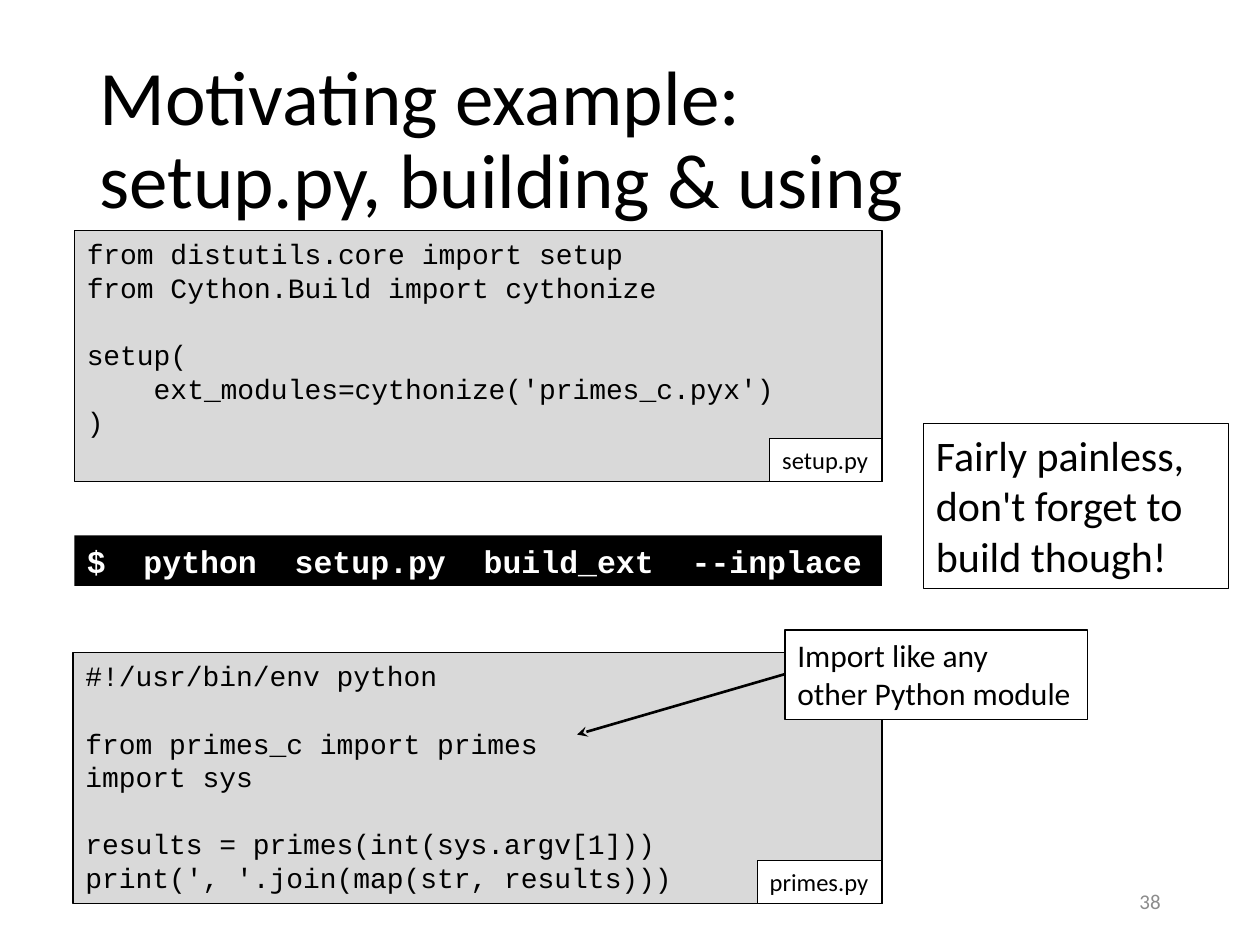
"""Build the slide on setting up, building and using a Cython module."""
from lxml import etree
from pptx import Presentation
from pptx.dml.color import RGBColor
from pptx.enum.shapes import MSO_CONNECTOR, MSO_SHAPE
from pptx.enum.text import MSO_ANCHOR, PP_ALIGN
from pptx.oxml.ns import qn
from pptx.util import Inches, Pt

RECTANGLE = MSO_SHAPE.RECTANGLE
STRAIGHT = MSO_CONNECTOR.STRAIGHT
TOP, MIDDLE = MSO_ANCHOR.TOP, MSO_ANCHOR.MIDDLE
LEFT, RIGHT = PP_ALIGN.LEFT, PP_ALIGN.RIGHT

BLACK = RGBColor(0x00, 0x00, 0x00)
WHITE = RGBColor(0xFF, 0xFF, 0xFF)
CODE_GRAY = RGBColor(0xD9, 0xD9, 0xD9)
NUMBER_GRAY = RGBColor(0x8C, 0x8C, 0x8C)
BODY_FONT, CODE_FONT = "Calibri", "Courier New"

TITLE = "Motivating example:\vsetup.py, building & using"
SLIDE_NUMBER = "38"
SETUP_CODE = """from distutils.core import setup
from Cython.Build import cythonize

setup(
    ext_modules=cythonize('primes_c.pyx')
)"""
PRIMES_CODE = """#!/usr/bin/env python

from primes_c import primes
import sys

results = primes(int(sys.argv[1]))
print(', '.join(map(str, results)))"""
LISTINGS = [
    ("setup.py", SETUP_CODE, 0.59, 1.83, 0.89),
    ("primes.py", PRIMES_CODE, 0.58, 5.18, 0.99),
]
COMMAND = "$  python  setup.py  build_ext  --inplace"
REMARK = "Fairly painless,\vdon't forget to\vbuild though!"
IMPORT_NOTE = "Import like any\vother Python module"

CODE_RIGHT, CODE_HEIGHT, FILE_HEIGHT = 7.0, 1.99, 0.34


def write(shape, text, size, color=BLACK, font=BODY_FONT, bold=False,
          anchor=TOP, align=LEFT, spacing=None, wrap=True):
    frame = shape.text_frame
    frame.text = text
    frame.word_wrap = wrap
    frame.vertical_anchor = anchor
    for paragraph in frame.paragraphs:
        paragraph.alignment = align
        if spacing:
            paragraph.line_spacing = spacing
        for run in paragraph.runs:
            run.font.name = font
            run.font.size = Pt(size)
            run.font.bold = bold
            run.font.color.rgb = color
        if not paragraph.runs:
            end = etree.SubElement(paragraph._p, qn("a:endParaRPr"), sz=str(size * 100))
            etree.SubElement(end, qn("a:latin"), typeface=font)


def add_text(slide, place, text, size, **style):
    write(slide.shapes.add_textbox(*map(Inches, place)), text, size, **style)


def add_panel(slide, place, text, size, fill=WHITE, outlined=True, **style):
    panel = slide.shapes.add_shape(RECTANGLE, *map(Inches, place))
    panel.shadow.inherit = False
    panel.fill.solid()
    panel.fill.fore_color.rgb = fill
    if outlined:
        panel.line.color.rgb = BLACK
        panel.line.width = Pt(0.75)
    else:
        panel.line.fill.background()
    write(panel, text, size, **style)


def add_listing(slide, file_name, code, left, top, file_width):
    add_panel(slide, (left, top, CODE_RIGHT - left, CODE_HEIGHT), code, 16,
              fill=CODE_GRAY, font=CODE_FONT)
    file_top = top + CODE_HEIGHT - FILE_HEIGHT
    add_panel(slide, (CODE_RIGHT - file_width, file_top, file_width, FILE_HEIGHT),
              file_name, 14, wrap=False)


def add_arrow(slide, start, end):
    arrow = slide.shapes.add_connector(STRAIGHT, *map(Inches, start + end))
    arrow.line.color.rgb = BLACK
    arrow.line.width = Pt(1.5)
    etree.SubElement(arrow.line._get_or_add_ln(), qn("a:tailEnd"), type="stealth")
    etree.SubElement(arrow._element.spPr, qn("a:effectLst"))


def main():
    deck = Presentation()
    deck.slide_width, deck.slide_height = Inches(10), Inches(7.5)
    slide = deck.slides.add_slide(deck.slide_layouts[6])

    add_text(slide, (0.69, 0.4, 8.62, 1.45), TITLE, 44, anchor=MIDDLE, spacing=0.9)
    add_text(slide, (7.06, 6.95, 2.25, 0.4), SLIDE_NUMBER, 12,
             color=NUMBER_GRAY, anchor=MIDDLE, align=RIGHT)
    for listing in LISTINGS:
        add_listing(slide, *listing)
    add_panel(slide, (0.59, 4.25, 6.41, 0.4), COMMAND, 18, fill=BLACK,
              outlined=False, color=WHITE, font=CODE_FONT, bold=True)
    add_panel(slide, (7.33, 3.36, 2.42, 1.31), REMARK, 24)
    add_panel(slide, (6.23, 5, 2.4, 0.71), IMPORT_NOTE, 18, wrap=False)
    add_arrow(slide, (6.23, 5.35), (4.58, 5.83))

    deck.save("out.pptx")


if __name__ == "__main__":
    main()
